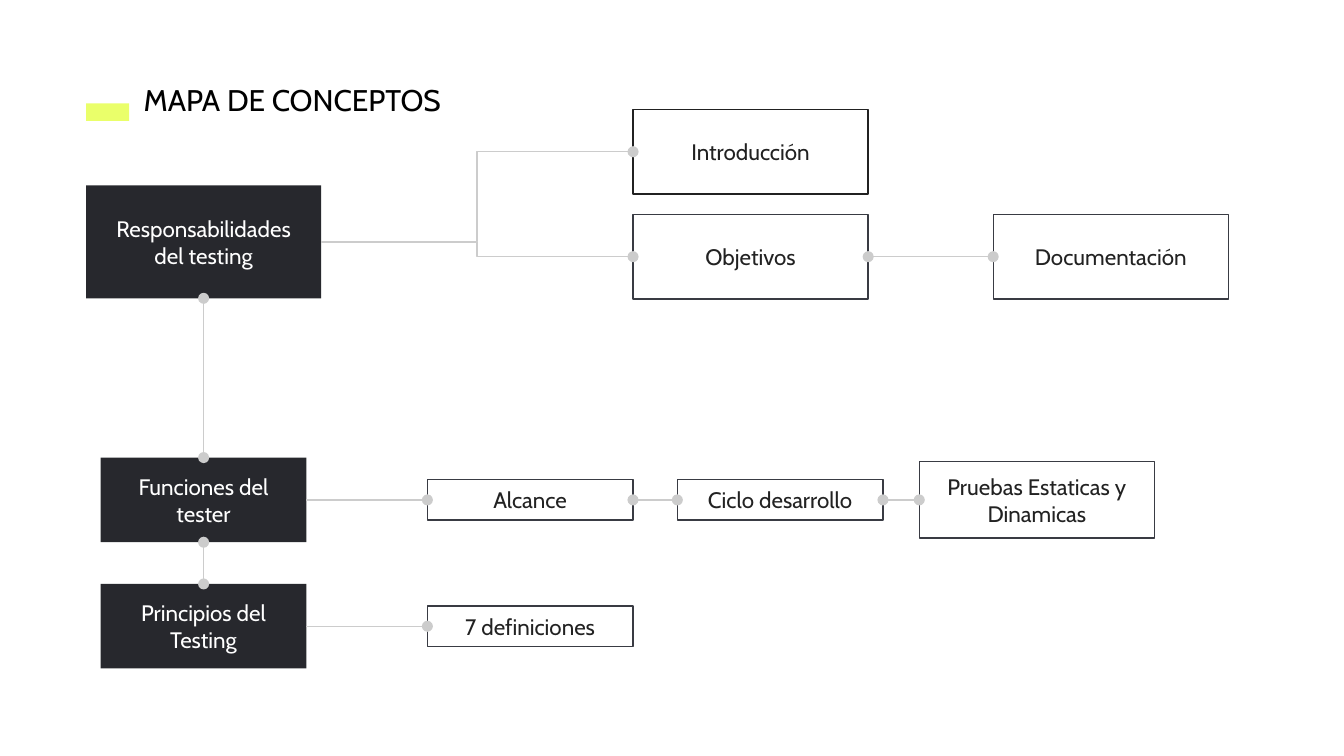
from dataclasses import dataclass
from typing import Optional

from lxml.etree import SubElement
from pptx import Presentation
from pptx.dml.color import RGBColor
from pptx.enum.shapes import MSO_CONNECTOR as Route, MSO_SHAPE as Preset
from pptx.enum.text import MSO_ANCHOR as Anchor, MSO_AUTO_SIZE as AutoSize, PP_ALIGN as Align
from pptx.oxml.ns import qn
from pptx.util import Inches, Pt

PAGE_WIDTH = 10
PAGE_HEIGHT = PAGE_WIDTH * 9 / 16
FONT = "Cabin"
LIME, DARK, WHITE, BLACK = "EAFF6A", "27282D", "FFFFFF", "000000"
BORDER, INK, GREY = "393B43", "222222", "CCCCCC"
TOP, LEFT, BOTTOM, RIGHT = range(4)
INTRO_ROW, TESTING_ROW, GOALS_ROW, TESTER_ROW, PRINCIPLES_ROW = 1.13, 1.8, 1.91, 3.72, 4.66
WIDE, NARROW = 1.75, 1.53


@dataclass(frozen=True)
class Concept:
    text: str
    left: float
    middle: float
    width: float
    height: float
    fill: Optional[str] = None
    line: Optional[str] = BORDER
    ink: str = INK


@dataclass(frozen=True)
class Link:
    start: str
    end: str
    start_side: int = RIGHT
    end_side: int = LEFT
    start_dot: bool = False
    route: Route = Route.STRAIGHT


def topic(text: str, left: float, middle: float, width: float, height: float) -> Concept:
    return Concept(text, left, middle, width, height, DARK, None, WHITE)


CONCEPTS = [
    topic("Responsabilidades del testing", 0.64, TESTING_ROW, WIDE, 0.84),
    topic("Funciones del tester", 0.75, TESTER_ROW, NARROW, 0.63),
    topic("Principios del Testing", 0.75, PRINCIPLES_ROW, NARROW, 0.63),
    Concept("Introducción", 4.71, INTRO_ROW, WIDE, 0.63, WHITE, "212121", "212121"),
    Concept("Objetivos", 4.71, GOALS_ROW, WIDE, 0.63),
    Concept("Documentación", 7.39, GOALS_ROW, WIDE, 0.63),
    Concept("Alcance", 3.18, TESTER_ROW, NARROW, 0.3, WHITE),
    Concept("Ciclo desarrollo", 5.04, TESTER_ROW, NARROW, 0.3, WHITE),
    Concept("Pruebas Estaticas y Dinamicas", 6.84, TESTER_ROW, WIDE, 0.57, WHITE),
    Concept("7 definiciones", 3.18, PRINCIPLES_ROW, NARROW, 0.3, WHITE),
]

LINKS = [
    Link("Responsabilidades del testing", "Introducción", route=Route.ELBOW),
    Link("Responsabilidades del testing", "Objetivos", route=Route.ELBOW),
    Link("Objetivos", "Documentación", start_dot=True),
    Link("Funciones del tester", "Responsabilidades del testing", TOP, BOTTOM, True),
    Link("Funciones del tester", "Principios del Testing", BOTTOM, TOP, True),
    Link("Funciones del tester", "Alcance"),
    Link("Alcance", "Ciclo desarrollo", start_dot=True),
    Link("Ciclo desarrollo", "Pruebas Estaticas y Dinamicas", start_dot=True),
    Link("Principios del Testing", "7 definiciones"),
]


def paint(target, color: Optional[str]) -> None:
    if color is None:
        target.background()
    else:
        target.solid()
        target.fore_color.rgb = RGBColor.from_string(color)


def add_rectangle(page, left: float, top: float, width: float, height: float,
                  fill: Optional[str], line: Optional[str] = None):
    box = page.shapes.add_shape(
        Preset.RECTANGLE, Inches(left), Inches(top), Inches(width), Inches(height))
    box.shadow.inherit = False
    paint(box.fill, fill)
    paint(box.line.fill, line)
    if line:
        box.line.width = Pt(0.75)
    return box


def write(box, text: str, size: float, color: str, align: Align, anchor: Anchor) -> None:
    frame = box.text_frame
    frame.word_wrap = True
    frame.vertical_anchor = anchor
    frame.margin_left = frame.margin_right = Inches(0.1)
    frame.margin_top = frame.margin_bottom = Inches(0.1)
    para = frame.paragraphs[0]
    para.text = text
    para.alignment = align
    para.font.name = FONT
    para.font.size = Pt(size)
    paint(para.font.fill, color)


def add_title(page, text: str) -> None:
    add_rectangle(page, 0.64, 0.77, 0.32, 0.13, LIME)
    box = page.shapes.add_textbox(Inches(0.97), Inches(0.51), Inches(2.69), Inches(0.47))
    write(box, text, 16, BLACK, Align.LEFT, Anchor.TOP)
    box.text_frame.auto_size = AutoSize.SHAPE_TO_FIT_TEXT


def add_concept(page, concept: Concept):
    top = concept.middle - concept.height / 2
    box = add_rectangle(page, concept.left, top, concept.width, concept.height,
                        concept.fill, concept.line)
    write(box, concept.text, 12, concept.ink, Align.CENTER, Anchor.MIDDLE)
    return box


def add_link(page, link: Link, boxes: dict) -> None:
    connector = page.shapes.add_connector(link.route, 0, 0, 0, 0)
    connector.begin_connect(boxes[link.start], link.start_side)
    connector.end_connect(boxes[link.end], link.end_side)
    paint(connector.line.fill, GREY)
    connector.line.width = Pt(0.75)
    outline = connector.line._get_or_add_ln()
    if link.start_dot:
        SubElement(outline, qn("a:headEnd"), type="oval")
    SubElement(outline, qn("a:tailEnd"), type="oval")
    SubElement(connector._element.spPr, qn("a:effectLst"))


def main() -> None:
    deck = Presentation()
    deck.slide_width, deck.slide_height = Inches(PAGE_WIDTH), Inches(PAGE_HEIGHT)
    page = deck.slides.add_slide(deck.slide_layouts[6])
    paint(page.background.fill, WHITE)
    add_title(page, "MAPA DE CONCEPTOS")
    boxes = {concept.text: add_concept(page, concept) for concept in CONCEPTS}
    for link in LINKS:
        add_link(page, link, boxes)
    deck.save("out.pptx")


if __name__ == "__main__":
    main()
